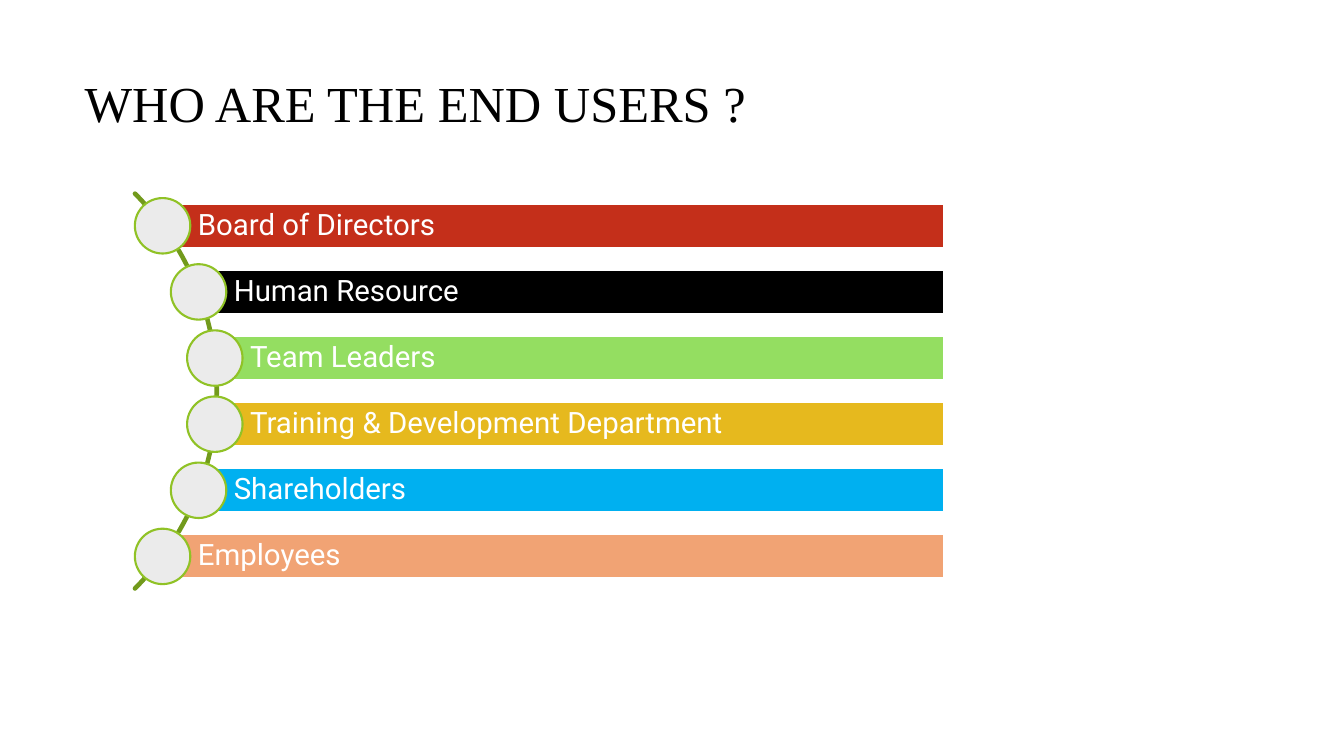
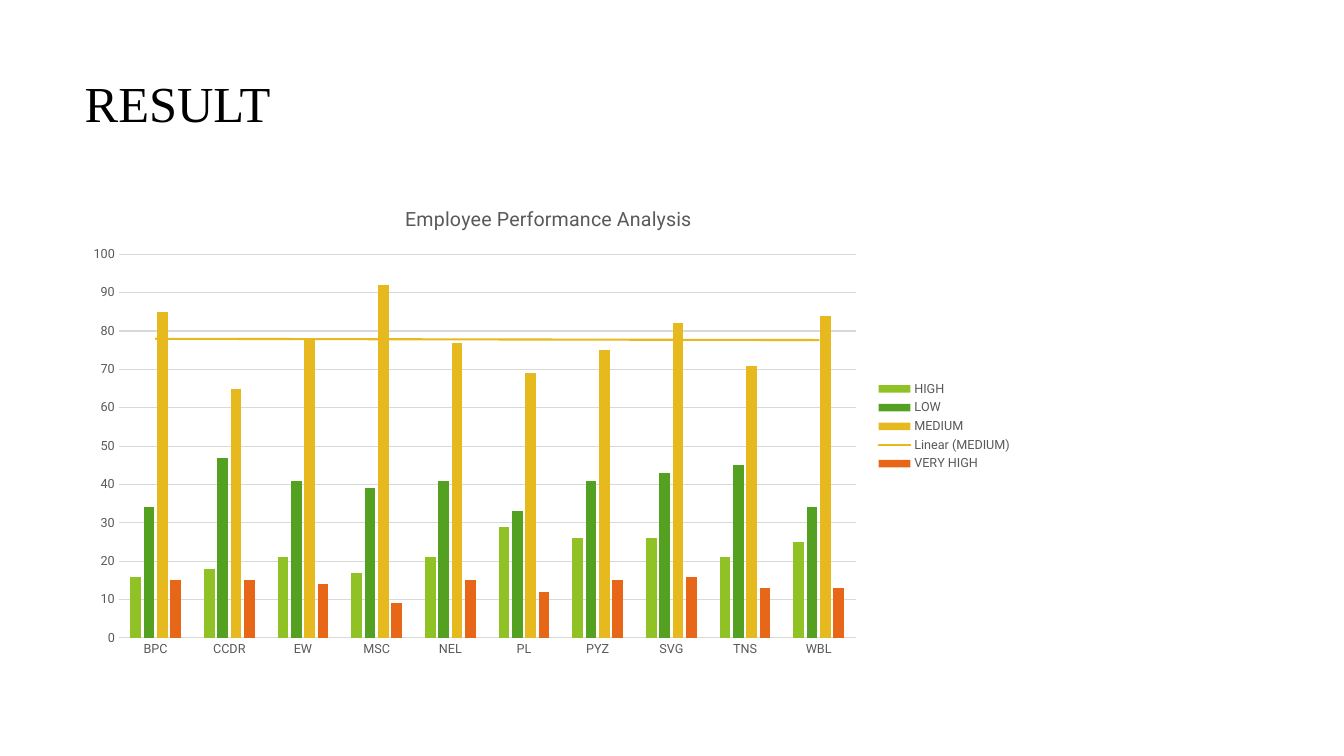
from dataclasses import dataclass
from math import cos, radians, sin, sqrt

from lxml import etree
from pptx import Presentation
from pptx.chart.chart import Chart
from pptx.chart.data import CategoryChartData
from pptx.dml.color import RGBColor
from pptx.enum.chart import XL_CHART_TYPE, XL_LEGEND_POSITION, XL_TICK_MARK
from pptx.enum.shapes import MSO_SHAPE
from pptx.enum.text import MSO_ANCHOR, MSO_AUTO_SIZE, PP_ALIGN
from pptx.oxml import parse_xml
from pptx.oxml.ns import nsdecls, qn
from pptx.slide import Slide
from pptx.text.text import Font
from pptx.util import Inches, Pt

# Shared look
TITLE_FONT, BODY_FONT = "Times New Roman", "Roboto"
BLACK, WHITE = "000000", "FFFFFF"
LIME, GREEN, GOLD, ORANGE = "90C226", "54A021", "E6B91E", "E76618"
ARC_GREEN, CIRCLE_GREY = "729A1C", "EBEBEB"
CHART_TEXT, CHART_LINE = "595959", "D9D9D9"
CONTENT_LEFT, CONTENT_WIDTH = 0.74, 9.4

# End-user list: circle centres lie on one arc, in evenly spaced rows
ARC_X, ARC_Y, ARC_RADIUS = -0.62, 3.88, 2.77
ROW_STEP = 0.656
CIRCLE_SIZE = 0.55
BAR_HEIGHT, BAR_RIGHT = 0.44, 9.36


@dataclass
class EndUser:
    name: str
    color: str


@dataclass
class Rating:
    name: str
    color: str
    values: tuple[int, ...]


END_USERS = [
    EndUser("Board of Directors", "C42F1A"),
    EndUser("Human Resource", BLACK),
    EndUser("Team Leaders", "94DE61"),
    EndUser("Training & Development Department", GOLD),
    EndUser("Shareholders", "00B0F0"),
    EndUser("Employees", "F1A374"),
]
UNITS = ["BPC", "CCDR", "EW", "MSC", "NEL", "PL", "PYZ", "SVG", "TNS", "WBL"]
RATINGS = [
    Rating("HIGH", LIME, (16, 18, 21, 17, 21, 29, 26, 26, 21, 25)),
    Rating("LOW", GREEN, (34, 47, 41, 39, 41, 33, 41, 43, 45, 34)),
    Rating("MEDIUM", GOLD, (85, 65, 78, 92, 77, 69, 75, 82, 71, 84)),
    Rating("VERY HIGH", ORANGE, (15, 15, 14, 9, 15, 12, 15, 16, 13, 13)),
]
TREND_RATING = "MEDIUM"


def rgb(color: str) -> RGBColor:
    return RGBColor.from_string(color)


def set_font(font: Font, name: str, size: float, color: str) -> None:
    font.name = name
    font.size = Pt(size)
    font.bold = False
    font.color.rgb = rgb(color)


def add_titled_slide(prs, title: str) -> Slide:
    slide = prs.slides.add_slide(prs.slide_layouts[5])
    heading = slide.shapes.title
    heading.left, heading.top = Inches(CONTENT_LEFT), Inches(0.67)
    heading.width, heading.height = Inches(CONTENT_WIDTH), Inches(1.44)
    frame = heading.text_frame
    frame.text = title
    frame.auto_size = MSO_AUTO_SIZE.NONE
    frame.vertical_anchor = MSO_ANCHOR.TOP
    frame.paragraphs[0].alignment = PP_ALIGN.LEFT
    set_font(frame.paragraphs[0].font, TITLE_FONT, 36, BLACK)
    return slide


def add_filled_shape(slide: Slide, kind: MSO_SHAPE, left: float, top: float,
                     width: float, height: float, fill: str, line: str):
    shape = slide.shapes.add_shape(kind, Inches(left), Inches(top),
                                   Inches(width), Inches(height))
    shape.shadow.inherit = False
    shape.fill.solid()
    shape.fill.fore_color.rgb = rgb(fill)
    shape.line.color.rgb = rgb(line)
    shape.line.width = Pt(1.5)
    return shape


def add_arc(slide: Slide) -> None:
    points = [(Inches(ARC_X + ARC_RADIUS * cos(radians(angle))),
               Inches(ARC_Y + ARC_RADIUS * sin(radians(angle))))
              for angle in range(-45, 46)]
    builder = slide.shapes.build_freeform(*points[0])
    builder.add_line_segments(points[1:], close=False)
    arc = builder.convert_to_shape()
    arc.shadow.inherit = False
    arc.fill.background()
    arc.line.color.rgb = rgb(ARC_GREEN)
    arc.line.width = Pt(3.25)
    arc.line._get_or_add_ln().set("cap", "rnd")


def add_end_user(slide: Slide, user: EndUser, row: int) -> None:
    offset = (row - (len(END_USERS) - 1) / 2) * ROW_STEP
    center_x = ARC_X + sqrt(ARC_RADIUS ** 2 - offset ** 2)
    center_y = ARC_Y + offset

    bar = add_filled_shape(slide, MSO_SHAPE.RECTANGLE, center_x,
                           center_y - BAR_HEIGHT / 2, BAR_RIGHT - center_x,
                           BAR_HEIGHT, user.color, WHITE)
    frame = bar.text_frame
    frame.text = user.name
    frame.word_wrap = True
    frame.vertical_anchor = MSO_ANCHOR.MIDDLE
    frame.margin_left = Inches(0.35)
    frame.margin_top = frame.margin_right = frame.margin_bottom = Inches(0.06)
    label = frame.paragraphs[0]
    label.alignment = PP_ALIGN.LEFT
    label.line_spacing = 0.9
    label.space_after = Pt(9)
    set_font(label.font, BODY_FONT, 21, WHITE)

    add_filled_shape(slide, MSO_SHAPE.OVAL, center_x - CIRCLE_SIZE / 2,
                     center_y - CIRCLE_SIZE / 2, CIRCLE_SIZE, CIRCLE_SIZE,
                     CIRCLE_GREY, LIME)


def add_trend_line(series, color: str) -> None:
    trend = parse_xml(
        f'<c:trendline {nsdecls("c", "a")}><c:spPr>'
        f'<a:ln w="{Pt(1.5)}" cap="rnd"><a:solidFill><a:srgbClr val="{color}"/>'
        '</a:solidFill></a:ln></c:spPr><c:trendlineType val="linear"/>'
        '<c:dispRSqr val="0"/><c:dispEq val="0"/></c:trendline>')
    series._element.find(qn("c:cat")).addprevious(trend)


def style_axes(chart: Chart) -> None:
    for axis in (chart.category_axis, chart.value_axis):
        axis.major_tick_mark = axis.minor_tick_mark = XL_TICK_MARK.NONE
        set_font(axis.tick_labels.font, BODY_FONT, 9, CHART_TEXT)
    value_axis = chart.value_axis
    value_axis.minimum_scale, value_axis.maximum_scale = 0, 100
    value_axis.major_unit = 10
    value_axis.format.line.fill.background()
    for line in (chart.category_axis.format.line,
                 value_axis.major_gridlines.format.line):
        line.color.rgb = rgb(CHART_LINE)
        line.width = Pt(0.75)


def add_performance_chart(slide: Slide) -> None:
    data = CategoryChartData()
    data.categories = UNITS
    for rating in RATINGS:
        data.add_series(rating.name, rating.values)
    chart = slide.shapes.add_chart(
        XL_CHART_TYPE.COLUMN_CLUSTERED, Inches(CONTENT_LEFT), Inches(1.85),
        Inches(CONTENT_WIDTH), Inches(4.76), data).chart
    set_font(chart.font, "Arial", 10, BLACK)

    # Title and legend
    chart.has_title = True
    heading = chart.chart_title.text_frame
    heading.text = "Employee Performance Analysis"
    set_font(heading.paragraphs[0].font, BODY_FONT, 14, CHART_TEXT)
    chart.has_legend = True
    chart.legend.position = XL_LEGEND_POSITION.RIGHT
    chart.legend.include_in_layout = False
    set_font(chart.legend.font, BODY_FONT, 9, CHART_TEXT)

    # Columns
    plot = chart.plots[0]
    plot.vary_by_categories = False
    plot.gap_width, plot.overlap = 219, -27
    for series, rating in zip(plot.series, RATINGS):
        series.format.fill.solid()
        series.format.fill.fore_color.rgb = rgb(rating.color)
        if rating.name == TREND_RATING:
            add_trend_line(series, rating.color)
    style_axes(chart)


def main() -> None:
    prs = Presentation()
    prs.slide_width, prs.slide_height = Inches(13.33), Inches(7.5)

    # Slide 1: end users along an arc
    users_slide = add_titled_slide(prs, "WHO ARE THE END USERS ?")
    add_arc(users_slide)
    for row, user in enumerate(END_USERS):
        add_end_user(users_slide, user, row)

    # Slide 2: performance chart
    add_performance_chart(add_titled_slide(prs, "RESULT"))

    prs.save("out.pptx")


if __name__ == "__main__":
    main()
